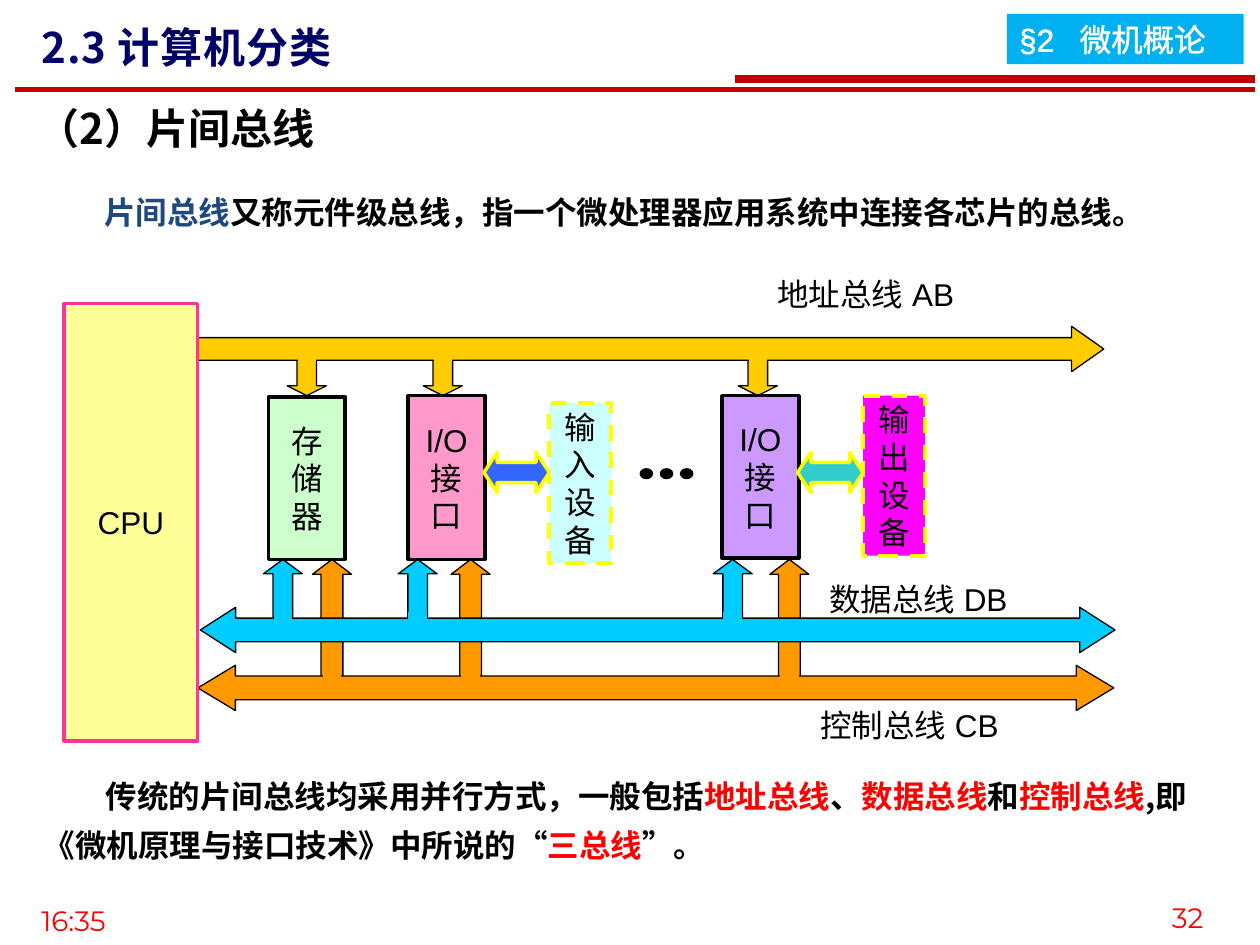
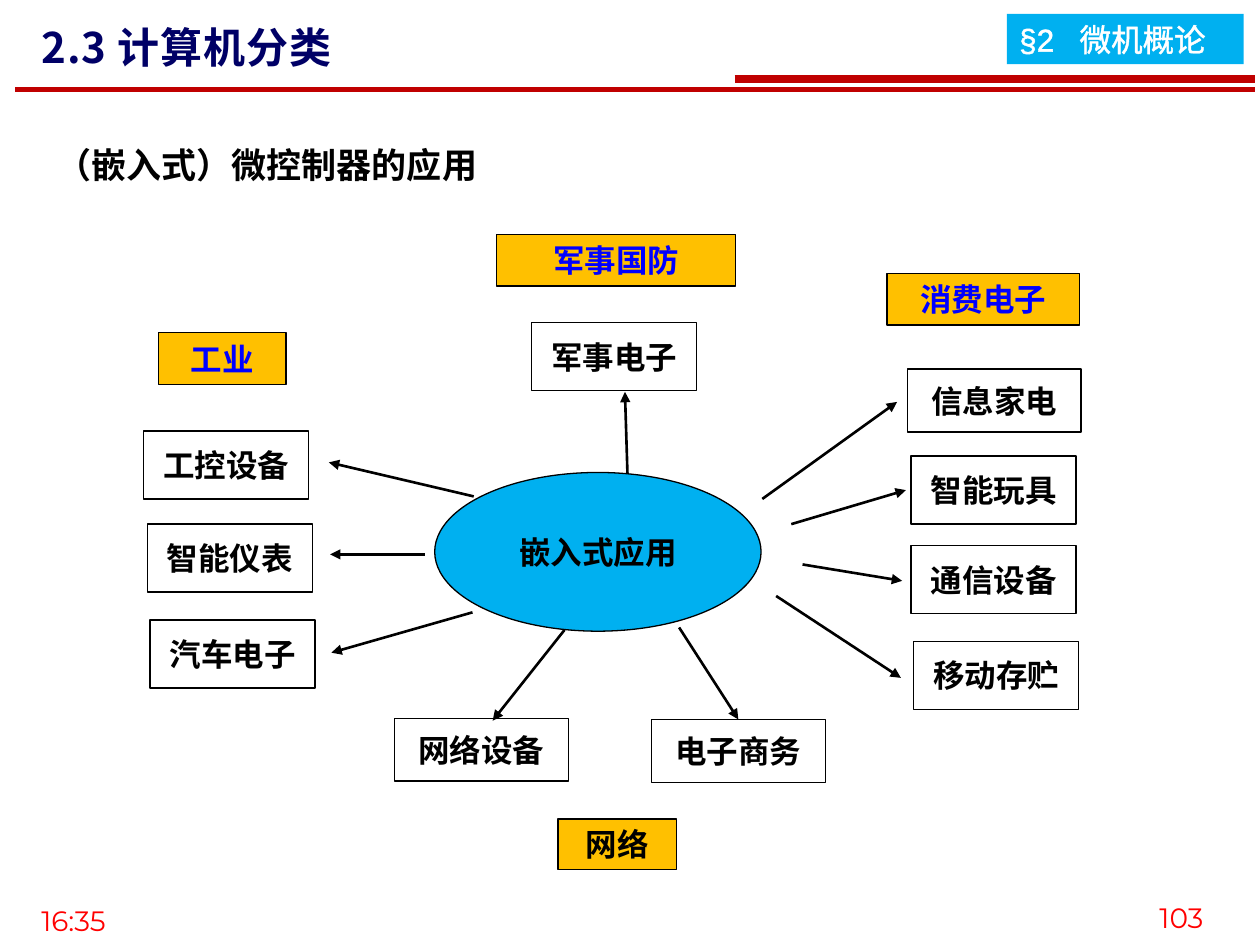
from lxml import etree
from pptx import Presentation
from pptx import util as u
from pptx.dml.color import RGBColor
from pptx.enum import dml, shapes, text
from pptx.oxml.ns import qn

COLORS = {
    "black": "000000", "white": "FFFFFF", "red": "FF0000", "rule": "C00000",
    "navy": "000066", "term": "1F497D", "blue": "0000FF", "sky": "00B0F0",
    "gold": "FFC000", "address": "FFCC00", "data": "00CCFF", "control": "FF9900",
    "cpu": "FFFF99", "cpu edge": "FF3399", "memory": "CCFFCC", "input port": "FF99CC",
    "output port": "CC99FF", "input": "CCFFFF", "output": "FF00FF",
    "input link": "3366FF", "output link": "33CCCC", "yellow": "FFFF00",
}
CJK, LATIN, FOOTER = "Noto Sans CJK SC", "Arial", "Montserrat"
KIND = shapes.MSO_SHAPE

deck = Presentation()
deck.slide_width, deck.slide_height = u.Inches(10), u.Inches(7.5)
# The grid has 100 columns and 75 rows
COL = deck.slide_width // 100
ROW = deck.slide_height // 75


def put(slide, box, content="", kind=None, fill=None, line=None, weight=0.75,
        dash=False, adjust=(), font=CJK, size=18, bold=False, color="black",
        accent="red", align="LEFT", anchor="MIDDLE", wrap=True, inset=(1, 0.5),
        leading=None, indent=0, tab=None, tracking=0, outline=None):
    """Place a shape or text box; *starred* pieces of the text take the accent colour."""
    left, top, width, height = box
    place = [round(n) for n in (left * COL, top * ROW, width * COL, height * ROW)]
    if kind is None:
        part = slide.shapes.add_textbox(*place)
    else:
        part = slide.shapes.add_shape(kind, *place)
        part.shadow.inherit = False
        for i, value in enumerate(adjust):
            part.adjustments[i] = value
        if fill:
            part.fill.solid()
            part.fill.fore_color.rgb = RGBColor.from_string(COLORS[fill])
        else:
            part.fill.background()
        if line:
            part.line.color.rgb = RGBColor.from_string(COLORS[line])
            part.line.width = u.Pt(weight)
            if dash:
                part.line.dash_style = dml.MSO_LINE.DASH
        else:
            part.line.fill.background()
    if not content:
        return part
    frame = part.text_frame
    frame.word_wrap = wrap
    frame.vertical_anchor = text.MSO_ANCHOR[anchor]
    frame.margin_left = frame.margin_right = round(inset[0] * COL)
    frame.margin_top = frame.margin_bottom = round(inset[1] * ROW)
    for row, words in enumerate(content.split("\n")):
        paragraph = frame.add_paragraph() if row else frame.paragraphs[0]
        paragraph.alignment = text.PP_ALIGN[align]
        if leading:
            paragraph.line_spacing = u.Pt(leading)
        settings = paragraph._p.get_or_add_pPr()
        if indent:
            settings.set("indent", str(round(indent * COL)))
        if tab:
            stops = etree.SubElement(settings, qn("a:tabLst"))
            etree.SubElement(stops, qn("a:tab"), pos=str(round(tab * COL)), algn="l")
        for i, piece in enumerate(words.split("*")):
            if not piece:
                continue
            run = paragraph.add_run()
            run.text = piece
            run.font.size, run.font.bold, run.font.name = u.Pt(size), bold, font
            run.font.color.rgb = RGBColor.from_string(COLORS[accent if i % 2 else color])
            style = run._r.get_or_add_rPr()
            etree.SubElement(style, qn("a:ea"), typeface=font)
            if tracking:
                style.set("spc", str(round(tracking * 100)))
            if outline:
                edge = etree.Element(qn("a:ln"), w=str(u.Pt(1.45)))
                paint = etree.SubElement(edge, qn("a:solidFill"))
                etree.SubElement(paint, qn("a:srgbClr"), val=COLORS[outline])
                style.insert(0, edge)
    return part


def rule(slide, start, end, color="black", weight=1.5, arrow=False):
    """Draw a straight line between two grid points."""
    ends = [round(n) for x, y in (start, end) for n in (x * COL, y * ROW)]
    stroke = slide.shapes.add_connector(shapes.MSO_CONNECTOR.STRAIGHT, *ends)
    stroke.line.color.rgb = RGBColor.from_string(COLORS[color])
    stroke.line.width = u.Pt(weight)
    if arrow:
        etree.SubElement(stroke.line._get_or_add_ln(), qn("a:tailEnd"), type="triangle")
    etree.SubElement(stroke._element.spPr, qn("a:effectLst"))
    return stroke


# Shared frame
pages = []
for number in ("32", "103"):
    page = deck.slides.add_slide(deck.slide_layouts[6])
    put(page, (2.3, 71.1, 10.2, 3.9), "16:35", font=FOOTER, size=16, color="red")
    put(page, (89.1, 70.6, 7.4, 4.4), number, font=FOOTER, size=16, color="red",
        align="RIGHT")
    put(page, (79.9, 1.1, 18.8, 4), "§2\t微机概论", kind=KIND.RECTANGLE, fill="sky",
        font=LATIN, color="white", outline="white", tab=4.8)
    rule(page, (1.2, 7.1), (99.6, 7.1), "rule", 3)
    rule(page, (58.3, 6.3), (99.6, 6.3), "rule", 4.5)
    put(page, (2.3, 1.2, 64.1, 5), "2.3 计算机分类", size=24, bold=True, color="navy",
        tracking=0.5)
    pages.append(page)
bus_page, uses_page = pages

# Chip-level bus
put(bus_page, (2, 7.6, 26.3, 5.1), "（2）片间总线", size=24, bold=True)
put(bus_page, (5.1, 13.9, 91.3, 4.6),
    "*片间总线*又称元件级总线，指一个微处理器应用系统中连接各芯片的总线。",
    bold=True, accent="term", anchor="TOP", leading=28, indent=2.2)
put(bus_page, (2.5, 60.3, 97.6, 8.5),
    "传统的片间总线均采用并行方式，一般包括*地址总线*、*数据总线*和*控制总线*"
    ",即《微机原理与接口技术》中所说的“*三总线*”。",
    bold=True, anchor="TOP", leading=28, indent=4.9)

# Each bus: its bar, the taps to the chips, and patches that open the joints
TAP_W, PATCH_W = 3.1, 1.2
buses = [
    ("address", KIND.RIGHT_ARROW, (15.7, 25.9, 71.9, 3.6), (0.5, 0.71),
     KIND.DOWN_ARROW, (22.8, 33.6, 58.6), 28.3, 3.1, (0.5, 0.25), 28.15, 0.5),
    ("control", KIND.LEFT_RIGHT_ARROW, (15.7, 52.8, 72.7, 3.6), (0.52, 0.83),
     KIND.UP_ARROW, (24.8, 35.8, 61.1), 44.4, 10.5, (0.56, 0.38), 53.4, 0.7),
    ("data", KIND.LEFT_RIGHT_ARROW, (15.9, 48.2, 72.6, 3.6), (0.52, 0.78),
     KIND.UP_ARROW, (20.9, 31.6, 56.6), 44.4, 4.6, (0.5, 0.37), 48.65, 0.7),
]
for (bus, bar_kind, bar, bar_adjust, tap_kind, taps, tap_y, tap_h, tap_adjust,
     patch_y, patch_h) in buses:
    for x in taps:
        put(bus_page, (x, tap_y, TAP_W, tap_h), kind=tap_kind, fill=bus, line="black",
            adjust=tap_adjust)
    put(bus_page, bar, kind=bar_kind, fill=bus, line="black", adjust=bar_adjust)
    for x in taps:
        put(bus_page, (x + (TAP_W - PATCH_W) / 2, patch_y, PATCH_W, patch_h),
            kind=KIND.RECTANGLE, fill=bus, line=bus, weight=2)

chips = [
    ("CPU", (5.1, 24.1, 10.6, 34.7), "cpu", "cpu edge"),
    ("存\n储\n器", (21.3, 31.5, 6.1, 12.9), "memory", "black"),
    ("I/O\n接\n口", (32.4, 31.4, 6.1, 13), "input port", "black"),
    ("I/O\n接\n口", (57.3, 31.4, 6.1, 12.9), "output port", "black"),
]
for name, box, fill, edge in chips:
    put(bus_page, box, name, kind=KIND.RECTANGLE, fill=fill, line=edge, weight=2,
        font=LATIN, align="CENTER", inset=(0, 0))

devices = [
    ("输\n入\n设\n备", (43.6, 32, 4.9, 12.7), "input", 38.4),
    ("输\n出\n设\n备", (68.5, 31.4, 4.9, 12.7), "output", 63.3),
]
for name, box, fill, link_x in devices:
    put(bus_page, (link_x, 35.9, 5.2, 3.2), kind=KIND.LEFT_RIGHT_ARROW,
        fill=fill + " link", line="yellow", weight=2, adjust=(0.5, 0.33))
    put(bus_page, box, name, kind=KIND.RECTANGLE, fill=fill, line="yellow", weight=2.25,
        dash=True, font=LATIN, align="CENTER", inset=(0, 0))

for i in range(3):
    put(bus_page, (50.9 + 1.6 * i, 37.3, 0.8, 0.6), kind=KIND.OVAL, fill="black",
        line="black", weight=2)

for name, x, y in (("地址总线 AB", 61.7, 21.8), ("数据总线 DB", 65.8, 46),
                   ("控制总线 CB", 65.1, 56)):
    put(bus_page, (x, y, 24, 2.8), name, font=LATIN, anchor="TOP", inset=(0, 0))

# Uses of embedded controllers
put(uses_page, (3.5, 9.9, 45, 5), "（嵌入式）微控制器的应用", size=20, bold=True,
    anchor="TOP", leading=31)
put(uses_page, (34.5, 37.5, 25.9, 12.6), "嵌入式应用", kind=KIND.OVAL, fill="sky",
    line="black", bold=True, align="CENTER", wrap=False)

fields = [
    ("工业", (12.6, 26.4, 10.1, 4.1), "blue"),
    ("军事国防", (39.4, 18.6, 19, 4.1), "blue"),
    ("消费电子", (70.4, 21.7, 15.3, 4.1), "blue"),
    ("网络", (44.3, 65, 9.4, 4), "black"),
]
for name, box, color in fields:
    put(uses_page, box, name, kind=KIND.RECTANGLE, fill="gold", line="black", bold=True,
        color=color, align="CENTER")

# Each use: its box, then where its arrow starts and ends
SMALL, WIDE = (13.1, 5.4), (13.8, 5)
uses = [
    ("军事电子", (42.2, 25.6), SMALL, (49.8, 37.6), (49.6, 31.1)),
    ("信息家电", (72, 29.3), WIDE, (60.5, 39.6), (71.2, 31.9)),
    ("智能玩具", (72.3, 36.2), SMALL, (62.8, 41.6), (71.9, 38.9)),
    ("通信设备", (72.3, 43.3), SMALL, (63.7, 44.8), (71.6, 46.1)),
    ("移动存贮", (72.5, 50.9), SMALL, (61.6, 47.3), (71.5, 53.8)),
    ("工控设备", (11.4, 34.2), SMALL, (37.6, 39.4), (26.1, 36.7)),
    ("智能仪表", (11.7, 41.6), SMALL, (33.7, 44), (26.2, 44)),
    ("汽车电子", (11.9, 49.2), SMALL, (37.5, 48.6), (26.3, 51.8)),
    ("网络设备", (31.3, 57), WIDE, (44.8, 50), (39.1, 57.2)),
    ("电子商务", (51.7, 57.1), WIDE, (53.9, 49.8), (58.6, 57.1)),
]
for name, corner, extent, start, end in uses:
    use = put(uses_page, corner + extent, name, kind=KIND.RECTANGLE, line="black",
              bold=True, align="CENTER", wrap=False)
    arrow = rule(uses_page, start, end, arrow=True)
    if end == (corner[0] + extent[0] / 2, corner[1]):
        arrow.end_connect(use, 0)

deck.save("out.pptx")
